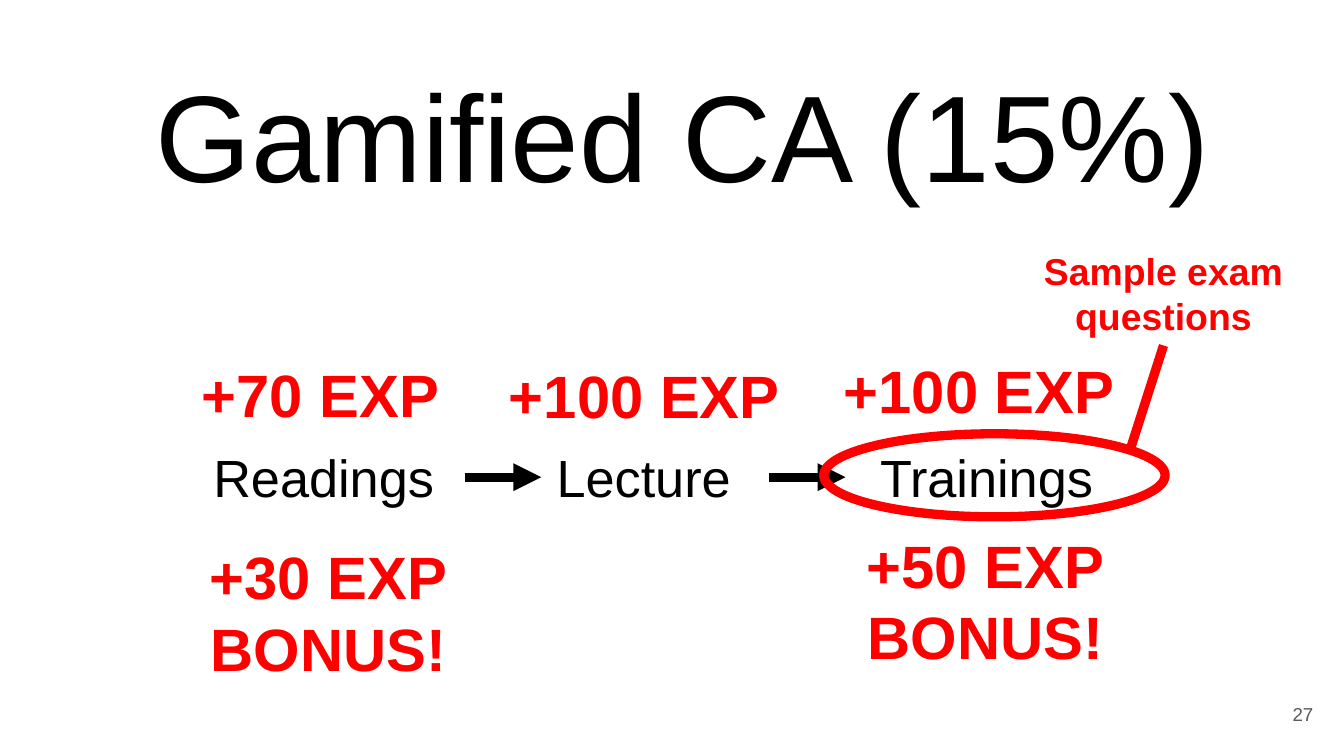
from lxml.etree import SubElement
from pptx import Presentation
from pptx.dml.color import RGBColor
from pptx.enum.shapes import MSO_CONNECTOR, MSO_SHAPE
from pptx.enum.text import MSO_ANCHOR, PP_ALIGN
from pptx.oxml.ns import qn
from pptx.util import Cm, Pt

BLACK, RED, GREY = "000000", "FF0000", "595959"
STEP_TOP, STEP_WIDTH, STEP_HEIGHT = 8.28, 5.33, 1.45
LABEL_WIDTH, ARROW_LENGTH, ARROW_Y = 8.36, 1.45, 9.02
STEP_STYLE = {"size": Pt(28)}
REWARD_STYLE = {"size": Pt(32), "bold": True}
CALLOUT_STYLE = {"size": Pt(20), "bold": True}
STEPS = [
    ("Readings", 3.45, ("+70 EXP", -1.57, -1.65), ("+30 EXP\vBONUS!", -1.42, 1.8)),
    ("Lecture", 9.5, ("+100 EXP", -1.5, -1.63), None),
    ("Trainings", 15.98, ("+100 EXP", -1.65, -1.73), ("+50 EXP\vBONUS!", -1.53, 1.58)),
]


def color(value):
    return RGBColor.from_string(value)


def set_all(target, values):
    for name, value in values.items():
        setattr(target, name, value)


def add_text(page, box, text, style, tint, align=PP_ALIGN.CENTER,
             anchor=MSO_ANCHOR.TOP, margin=0.13):
    frame = page.shapes.add_textbox(*map(Cm, box)).text_frame
    set_all(frame, {
        "word_wrap": True, "vertical_anchor": anchor, "text": text,
        "margin_left": Cm(0.25), "margin_right": Cm(0.25),
        "margin_top": Cm(margin), "margin_bottom": Cm(margin),
    })
    for para in frame.paragraphs:
        para.alignment = align
        for span in para.runs:
            set_all(span.font, {"name": "Arial", **style})
            span.font.color.rgb = color(tint)


def add_line(page, start, end, tint, arrow=False):
    line = page.shapes.add_connector(MSO_CONNECTOR.STRAIGHT, *map(Cm, start + end))
    line.line.width = Pt(5)
    line.line.color.rgb = color(tint)
    if arrow:
        SubElement(line.line._get_or_add_ln(), qn("a:tailEnd"), type="triangle")
    SubElement(line._element.spPr, qn("a:effectLst"))


def add_title(page, box):
    add_text(page, box, "Gamified CA (15%)", {"size": Pt(66)}, BLACK,
             anchor=MSO_ANCHOR.BOTTOM, margin=0.25)


def add_step(page, box, name, reward, bonus):
    left, top, width, height = box
    add_text(page, box, name, STEP_STYLE, BLACK)
    for label, label_height in ((reward, 1.6), (bonus, 2.95)):
        if label:
            text, shift_x, shift_y = label
            label_box = (left + shift_x, top + shift_y, LABEL_WIDTH, label_height)
            add_text(page, label_box, text, REWARD_STYLE, RED)


def add_flow(page):
    for name, left, reward, bonus in STEPS:
        add_step(page, (left, STEP_TOP, STEP_WIDTH, STEP_HEIGHT), name, reward, bonus)
    first_arrow = STEPS[0][1] + STEP_WIDTH
    second_arrow = STEPS[2][1] - ARROW_LENGTH
    for left in (first_arrow, second_arrow):
        add_line(page, (left, ARROW_Y), (left + ARROW_LENGTH, ARROW_Y), BLACK, True)


def add_callout(page, box, ring_box):
    left, top, width, height = box
    add_text(page, box, "Sample exam\nquestions", CALLOUT_STYLE, RED)
    ring = page.shapes.add_shape(MSO_SHAPE.OVAL, *map(Cm, ring_box))
    ring.shadow.inherit = False
    ring.fill.background()
    ring.line.width = Pt(5)
    ring.line.color.rgb = color(RED)
    ring_left, ring_top, ring_width, _ = ring_box
    touch = (ring_left + ring_width - 0.68, ring_top + 0.36)
    add_line(page, (left + width / 2, top + height), touch, RED)


def add_page_number(page, box):
    add_text(page, box, "27", {"size": Pt(10)}, GREY, PP_ALIGN.RIGHT,
             MSO_ANCHOR.MIDDLE, 0.25)


def main():
    deck = Presentation()
    set_all(deck, {"slide_width": Cm(25.4), "slide_height": Cm(14.29)})
    page = deck.slides.add_slide(deck.slide_layouts[6])
    add_title(page, (1.9, 0.71, 22, 3.45))
    add_flow(page)
    add_callout(page, (17.81, 4.57, LABEL_WIDTH, 1.96), (15.57, 8.2, 6.45, 1.57))
    add_page_number(page, (23.55, 12.95, 1.52, 1.09))
    deck.save("out.pptx")


if __name__ == "__main__":
    main()
